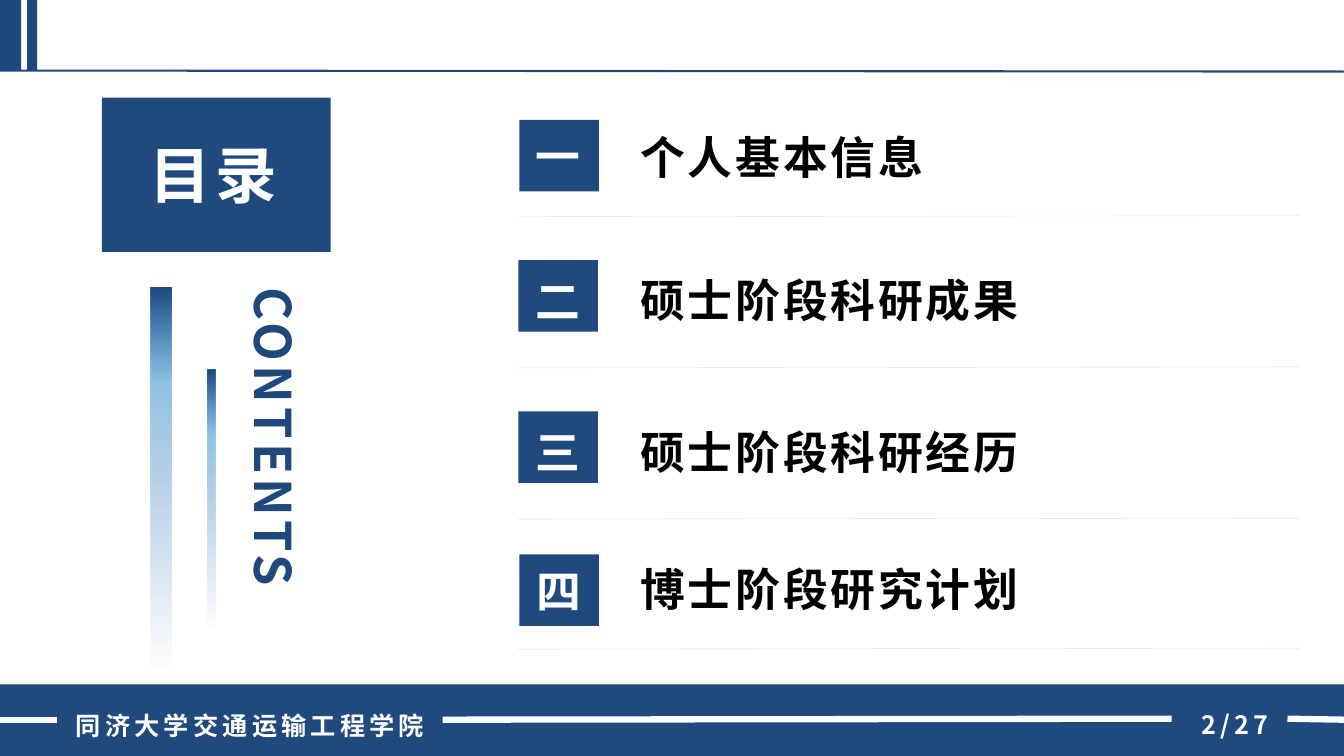
import pptx
import pptx.util
import pptx.dml.color
import pptx.enum.shapes
import pptx.enum.text
import pptx.oxml
import pptx.oxml.ns
from lxml import etree

Inches, Pt = pptx.util.Inches, pptx.util.Pt
SHAPE = pptx.enum.shapes.MSO_SHAPE
ALIGN = pptx.enum.text.PP_ALIGN
ANCHOR = pptx.enum.text.MSO_ANCHOR
AUTO = pptx.enum.text.MSO_AUTO_SIZE
qn = pptx.oxml.ns.qn

COLORS = {"navy": "20497D", "band": "1F487C", "sky": "0070BF", "deep": "004593",
          "rule": "D9D9D9", "white": "FFFFFF", "black": "000000"}
FADE = [(0, "navy", 100), (25, "sky", 43), (99, "deep", 0)]
ENTRIES = [
    ("一", "个人基本信息", 5.15, 1.19, 5.14, 1.31, 1.24, 2.15),
    ("二", "硕士阶段科研成果", 5.14, 2.58, 5.14, 2.75, 2.66, 3.65),
    ("三", "硕士阶段科研经历", 5.14, 4.08, 5.14, 4.25, 4.16, 5.15),
    ("四", "博士阶段研究计划", 5.15, 5.5, 5.15, 5.62, 5.52, 6.44),
]


def rgb(name):
    """Return the palette colour as an RGBColor."""
    return pptx.dml.color.RGBColor.from_string(COLORS[name])


class Deck:
    """Hold the style and the current slide."""

    font = "Noto Sans CJK SC"

    def __init__(self, s):
        """Keep the slide to draw on."""
        self.s = s

    def rect(self, x, y, w, h, fill=None, kind=SHAPE.RECTANGLE):
        """Add a borderless shape."""
        sp = self.s.shapes.add_shape(kind, Inches(x), Inches(y), Inches(w), Inches(h))
        sp.shadow.inherit = False
        sp.line.fill.background()
        if fill:
            sp.fill.solid()
            sp.fill.fore_color.rgb = rgb(fill)
        else:
            sp.fill.background()
        return sp

    def fading_bar(self, x, y, w, h):
        """Add a bar that fades out downwards."""
        sp = self.rect(x, y, w, h)
        stops = "".join(
            f'<a:gs pos="{pos * 1000}"><a:srgbClr val="{COLORS[c]}">'
            f'<a:alpha val="{alpha * 1000}"/></a:srgbClr></a:gs>' for pos, c, alpha in FADE)
        grad = pptx.oxml.parse_xml(
            f'<a:gradFill {pptx.oxml.ns.nsdecls("a")} rotWithShape="1"><a:gsLst>{stops}</a:gsLst>'
            '<a:lin ang="5400000" scaled="0"/></a:gradFill>')
        spPr = sp.element.spPr
        spPr.replace(spPr.find(qn("a:noFill")), grad)

    def set_text(self, sp, text, size, color, align=ALIGN.LEFT, spacing=0, wrap=True,
                 anchor=ANCHOR.TOP, auto=AUTO.SHAPE_TO_FIT_TEXT, line_spacing=None):
        """Set and format the text of a shape."""
        tf = sp.text_frame
        tf.text = text
        tf.word_wrap = wrap
        tf.auto_size = auto
        tf.vertical_anchor = anchor
        p = tf.paragraphs[0]
        p.alignment = align
        if line_spacing:
            p.line_spacing = line_spacing
        r = p.runs[0]
        r.font.size = Pt(size)
        r.font.bold = True
        r.font.name = self.font
        r.font.color.rgb = rgb(color)
        rPr = r.font._element
        rPr.set("spc", str(spacing * 100))
        etree.SubElement(rPr, qn("a:ea"), typeface=self.font)
        return sp

    def text(self, x, y, w, h, text, size, color, **style):
        """Add a text box."""
        sp = self.s.shapes.add_textbox(Inches(x), Inches(y), Inches(w), Inches(h))
        return self.set_text(sp, text, size, color, **style)

    def title(self, x, y, w, h, text, size, color, **style):
        """Place the title placeholder above what is drawn so far."""
        sp = self.s.shapes.title
        self.s.shapes.element.append(sp.element)
        sp.left, sp.top, sp.width, sp.height = Inches(x), Inches(y), Inches(w), Inches(h)
        return self.set_text(sp, text, size, color, **style)

    def line(self, x1, y1, x2, y2, color, width, start=None, end=None):
        """Add a straight line, joined to (shape, side) where given."""
        c = self.s.shapes.add_connector(
            pptx.enum.shapes.MSO_CONNECTOR.STRAIGHT,
            Inches(x1), Inches(y1), Inches(x2), Inches(y2))
        c.line.color.rgb = rgb(color)
        c.line.width = Pt(width)
        etree.SubElement(c._element.spPr, qn("a:effectLst"))
        if start:
            c.begin_connect(*start)
        if end:
            c.end_connect(*end)


def main():
    """Build the contents slide."""
    prs = pptx.Presentation()
    prs.slide_width, prs.slide_height = Inches(13.33), Inches(7.5)
    d = Deck(prs.slides.add_slide(prs.slide_layouts[5]))

    d.line(0, 0.7, 13.33, 0.71, "band", 1.5)
    for x, w in [(0, 0.21), (0.27, 0.1)]:
        d.rect(x, 0, w, 0.7, "band")

    d.rect(1.01, 0.97, 2.27, 1.53, "navy")
    d.title(1.38, 1.31, 1.52, 0.84, "目录", 44, "white", spacing=3, wrap=False)
    contents = d.text(2.26, 2.75, 0.81, 3.55, "CONTENTS", 36, "band",
                      align=ALIGN.JUSTIFY, spacing=3)
    contents.text_frame._txBody.bodyPr.set("vert", "eaVert")
    d.fading_bar(2.06, 3.67, 0.08, 2.58)
    d.fading_bar(1.49, 2.85, 0.21, 3.82)

    for numeral, label, tile_x, tile_y, num_x, num_y, label_y, rule_y in ENTRIES:
        d.rect(tile_x, tile_y, 0.79, 0.71, "navy")
        badge = d.rect(num_x, num_y, 0.79, 0.47, kind=SHAPE.ROUNDED_RECTANGLE)
        badge.adjustments[0] = 0.1
        d.set_text(badge, numeral, 32, "white", align=ALIGN.CENTER, wrap=False,
                   anchor=ANCHOR.MIDDLE, auto=AUTO.NONE)
        d.text(6.25, label_y, 7.31, 0.64, label, 32, "black", spacing=2)
        d.line(5.14, rule_y, 12.89, rule_y - 0.01, "rule", 0.25)

    d.rect(0, 6.79, 13.33, 0.71, "navy")
    footer = dict(align=ALIGN.CENTER, spacing=3, line_spacing=1.3)
    school = d.text(0.57, 6.91, 3.82, 0.46, "同济大学交通运输工程学院", 18, "white", **footer)
    page = d.text(11.62, 6.9, 1.15, 0.46, " 2/27", 18, "white", **footer)
    d.line(11.62, 7.13, 4.39, 7.14, "white", 4.5, start=(page, 1), end=(school, 3))
    d.line(13.33, 7.14, 12.77, 7.14, "white", 4.5, end=(page, 3))
    d.line(0.57, 7.14, 0, 7.14, "white", 4.5, start=(school, 1))

    prs.save("out.pptx")


if __name__ == "__main__":
    main()
